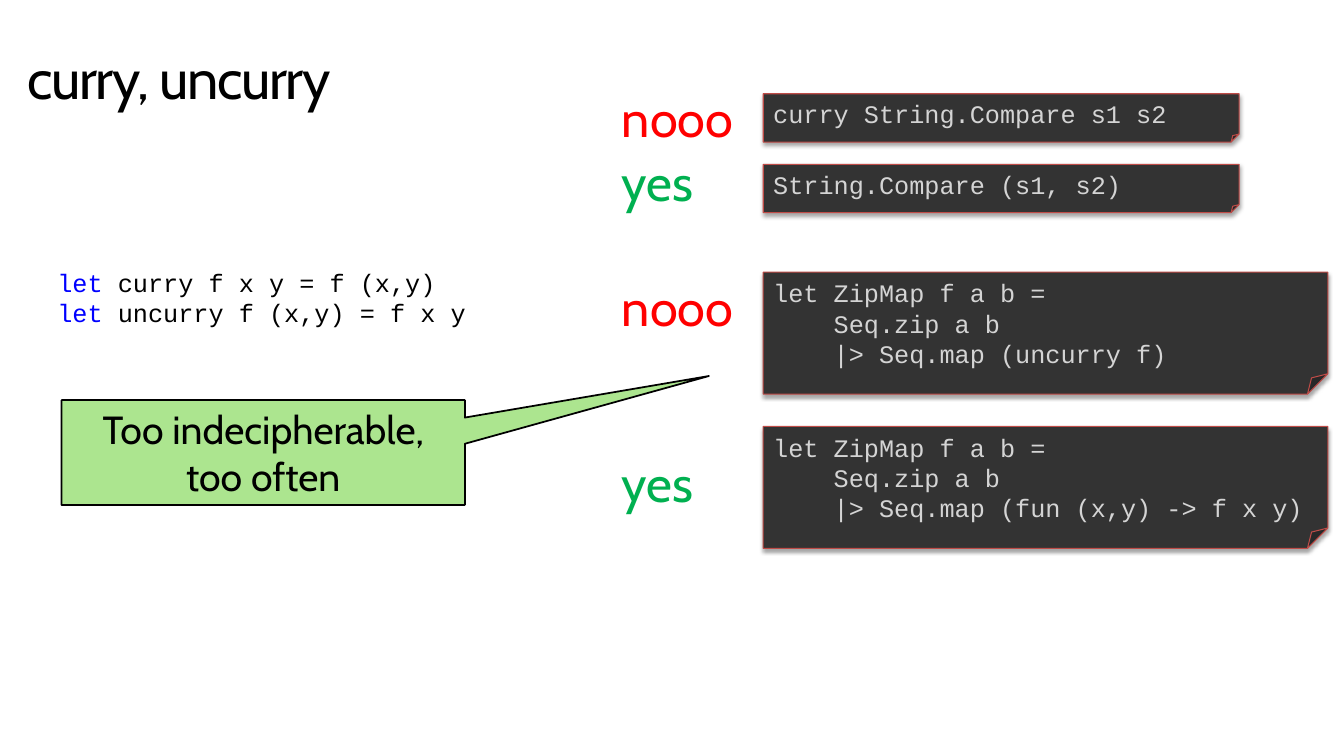
from lxml import etree
from pptx import Presentation
from pptx import util as u
from pptx.dml.color import RGBColor
from pptx.enum import shapes, text
from pptx.oxml import parse_xml
from pptx.oxml.ns import nsdecls

WIDTH, HEIGHT = u.Inches(13.33), u.Inches(7.5)
BLACK = RGBColor(0x00, 0x00, 0x00)
WHITE = RGBColor(0xFF, 0xFF, 0xFF)
RED = RGBColor(0xFF, 0x00, 0x00)
GREEN = RGBColor(0x00, 0xB0, 0x50)
KEYWORD_BLUE = RGBColor(0x00, 0x00, 0xFF)
CALLOUT_GREEN = RGBColor(0xAC, 0xE5, 0x8F)
CODE_FILL = RGBColor(0x33, 0x33, 0x33)
CODE_LINE = RGBColor(0xBF, 0x4C, 0x48)
CODE_TEXT = RGBColor(0xD4, 0xD4, 0xD4)
HEADING_FONT, CODE_FONT = "Cabin", "Courier New"
LABEL_LEFT, CODE_LEFT = 45.54, 56.79

SHADOW = f"""<a:effectLst {nsdecls('a')}>
  <a:outerShdw blurRad="{u.Pt(3.1)}" dist="{u.Pt(1.8)}" dir="5400000" rotWithShape="0">
    <a:srgbClr val="000000"><a:alpha val="35000"/></a:srgbClr>
  </a:outerShdw>
</a:effectLst>"""

# verdict, colour, label width, label top, code top, code width, code height, code
EXAMPLES = [
    ("nooo", RED, 10.35, 10.93, 12.4, 35.41, 6.4,
     ["curry String.Compare s1 s2"]),
    ("yes", GREEN, 6.9, 19.33, 21.73, 35.41, 6.4,
     ["String.Compare (s1, s2)"]),
    ("nooo", RED, 10.35, 35.87, 36, 42.01, 16.13,
     ["let ZipMap f a b =", "    Seq.zip a b", "    |> Seq.map (uncurry f)"]),
    ("yes", GREEN, 6.9, 59.2, 56.4, 42.01, 16.13,
     ["let ZipMap f a b =", "    Seq.zip a b", "    |> Seq.map (fun (x,y) -> f x y)"]),
]


def area(left, top, width, height):
    """Turn percentages of the slide's size into lengths."""
    return [int(side * share / 100) for side, share in
            zip((WIDTH, HEIGHT, WIDTH, HEIGHT), (left, top, width, height))]


def write(box, lines, font, size, color, align=text.PP_ALIGN.LEFT,
          anchor=text.MSO_ANCHOR.TOP, wrap=True):
    """Fill a box; each line is a string or a list of (string, colour) spans."""
    frame = box.text_frame
    frame.word_wrap = wrap
    frame.auto_size = text.MSO_AUTO_SIZE.SHAPE_TO_FIT_TEXT
    frame.vertical_anchor = anchor
    for index, line in enumerate(lines):
        para = frame.add_paragraph() if index else frame.paragraphs[0]
        para.alignment = align
        para.font.name, para.font.size = font, u.Pt(size)
        para.font.color.rgb = color
        for words, span_color in [(line, color)] if isinstance(line, str) else line:
            span = para.add_run()
            span.text = words
            span.font.color.rgb = span_color
    return frame


def add_panel(page, preset, place, fill, line=None, line_width=0):
    panel = page.shapes.add_shape(preset, *area(*place))
    panel.shadow.inherit = False
    panel.fill.solid()
    panel.fill.fore_color.rgb = fill
    if line is None:
        panel.line.fill.background()
    else:
        panel.line.color.rgb = line
        panel.line.width = u.Pt(line_width)
    return panel


def add_title(page, words):
    box = page.shapes.add_textbox(*area(2.03, 6.8, 91.67, 8.13))
    frame = write(box, [words], HEADING_FONT, 40, BLACK)
    frame.margin_left = frame.margin_right = frame.margin_top = frame.margin_bottom = 0
    para = frame.paragraphs[0]
    para.line_spacing = 0.9
    para.runs[0].font._element.set("spc", "-100")


def add_verdict(page, words, color, top, width):
    box = page.shapes.add_textbox(*area(LABEL_LEFT, top, width, 9.47))
    write(box, [words], HEADING_FONT, 36, color, wrap=False)


def add_code(page, lines, top, width, height):
    panel = add_panel(page, shapes.MSO_SHAPE.FOLDED_CORNER,
                      (CODE_LEFT, top, width, height), CODE_FILL, CODE_LINE, 0.75)
    properties = panel._element.spPr
    properties.replace(properties.find("{*}effectLst"), parse_xml(SHADOW))
    write(panel, lines, CODE_FONT, 18, CODE_TEXT, anchor=text.MSO_ANCHOR.MIDDLE)


def add_definitions(page):
    panel = add_panel(page, shapes.MSO_SHAPE.RECTANGLE, (3.53, 34.67, 32.11, 9.47), WHITE)
    bodies = ["curry f x y = f (x,y)", "uncurry f (x,y) = f x y"]
    lines = [[("let ", KEYWORD_BLUE), (body, BLACK)] for body in bodies]
    write(panel, lines, CODE_FONT, 18, BLACK)


def add_callout(page, words):
    callout = add_panel(page, shapes.MSO_SHAPE.RECTANGULAR_CALLOUT,
                        (4.58, 52.93, 30.01, 13.87), CALLOUT_GREEN, BLACK, 1.25)
    callout.adjustments[0], callout.adjustments[1] = 1.105, -0.73
    write(callout, [words], HEADING_FONT, 28, BLACK,
          text.PP_ALIGN.CENTER, text.MSO_ANCHOR.MIDDLE)


def main():
    deck = Presentation()
    deck.slide_width, deck.slide_height = WIDTH, HEIGHT
    page = deck.slides.add_slide(deck.slide_layouts[6])
    add_title(page, "curry, uncurry")
    for verdict, color, label_width, label_top, top, width, height, code in EXAMPLES:
        add_code(page, code, top, width, height)
        add_verdict(page, verdict, color, label_top, label_width)
    add_definitions(page)
    add_callout(page, "Too indecipherable, too often")
    deck.save("out.pptx")


if __name__ == "__main__":
    main()
